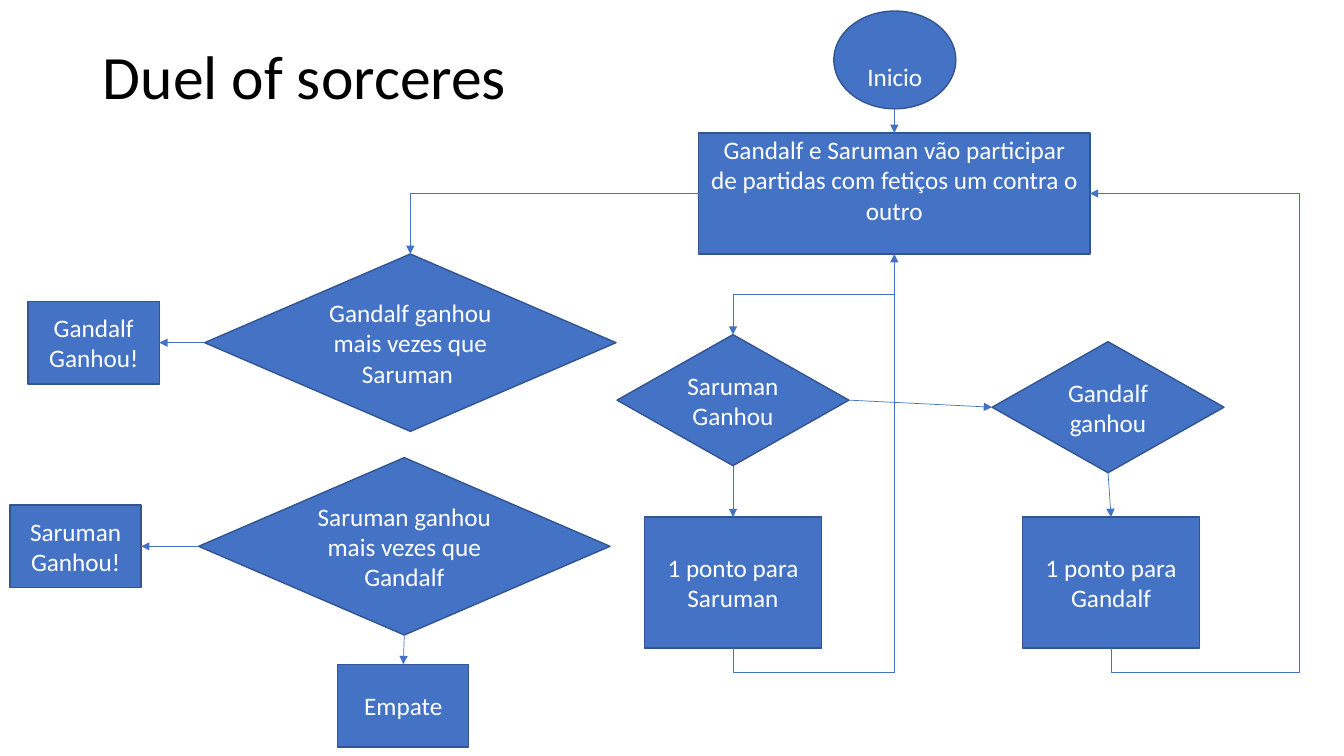
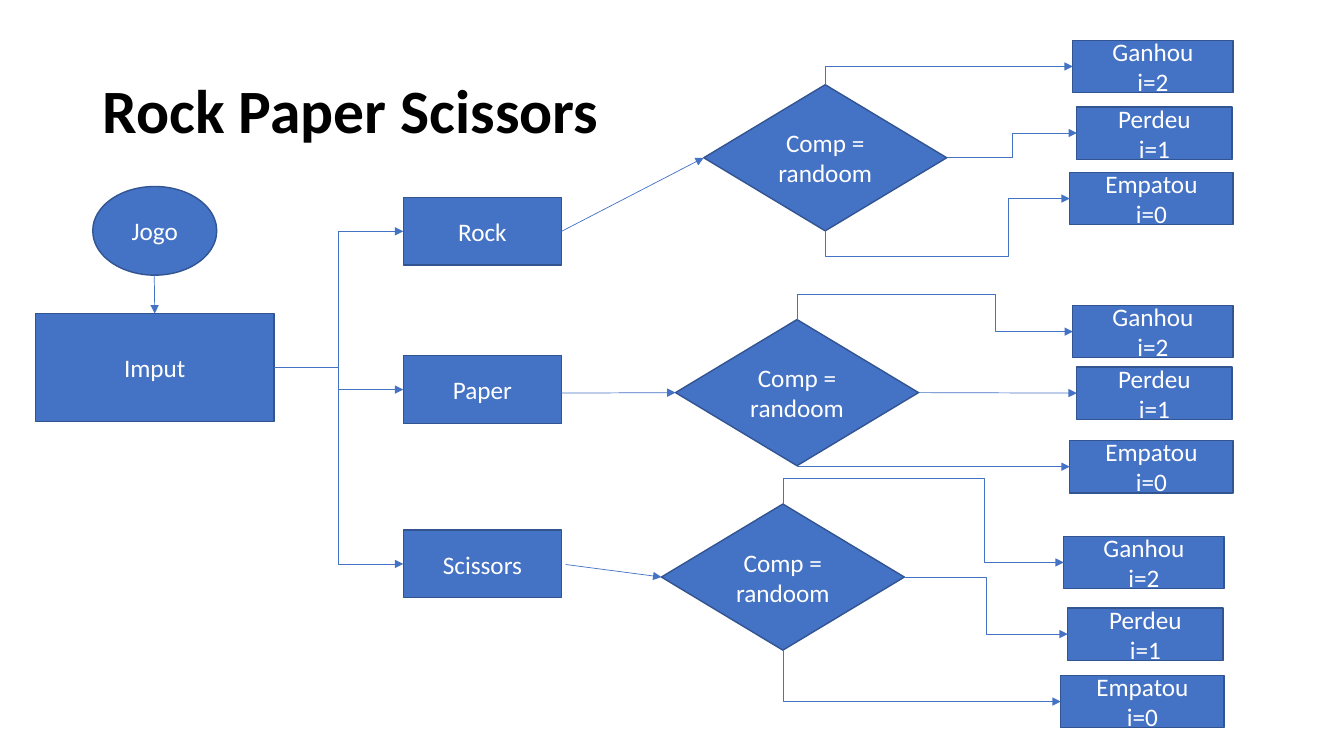
import pptx
import pptx.util
import pptx.dml.color
import pptx.enum.shapes
import pptx.enum.text
import pptx.oxml
import pptx.oxml.ns

# Look: the slide is a grid of 75 rows with square cells
HUES = {"fill": "4472C4", "edge": "325491", "text": "FFFFFF", "title": "000000"}
FONT = "Calibri"
WIDE, HIGH, ROWS = 13.33, 7.5, 75
TITLE = (9.2, 4, 115, 14.5)
FORM = pptx.enum.shapes.MSO_SHAPE
WIRE = pptx.enum.shapes.MSO_CONNECTOR
ALIGN = pptx.enum.text.PP_ALIGN

# Kinds of node: shape, columns, rows
KINDS = {
    "start": (FORM.OVAL, 12.1, 9.7),
    "match": (FORM.RECTANGLE, 38.8, 12),
    "round": (FORM.DIAMOND, 23, 13),
    "point": (FORM.RECTANGLE, 17.6, 13),
    "score": (FORM.DIAMOND, 40.8, 17.6),
    "end": (FORM.RECTANGLE, 13, 8.2),
    "game": (FORM.OVAL, 12.3, 8.8),
    "input": (FORM.RECTANGLE, 23.7, 10.7),
    "pick": (FORM.RECTANGLE, 15.7, 6.7),
    "comp": (FORM.DIAMOND, 24.1, 14.5),
    "won": (FORM.RECTANGLE, 15.9, 5.2),
    "lost": (FORM.RECTANGLE, 15.4, 5.2),
    "drew": (FORM.RECTANGLE, 16.2, 5.2),
}
# Top and bottom text insets, in rows, where text sits off centre
INSETS = {"start": (3.2, 0), "match": (0, 2.7)}

# Duel: name -> kind, column, row, lines
DUEL = {
    "start": ("start", 82.7, 1.1, ["Inicio"]),
    "match": ("match", 69.3, 13.2, [
        "Gandalf e Saruman vão participar de partidas com fetiços um contra o outro"]),
    "g round": ("round", 98.4, 33.9, ["Gandalf ganhou"]),
    "g point": ("point", 101.4, 51.3, ["1 ponto para Gandalf"]),
    "s round": ("round", 61.2, 33.2, ["Saruman Ganhou"]),
    "s point": ("point", 63.9, 51.3, ["1 ponto para Saruman"]),
    "g score": ("score", 20.3, 25.2, ["Gandalf ganhou mais vezes que Saruman "]),
    "g end": ("end", 2.8, 29.9, ["Gandalf Ganhou!"]),
    "s score": ("score", 19.7, 45.4, ["Saruman ganhou mais vezes que Gandalf"]),
    "s end": ("end", 1, 50.1, ["Saruman Ganhou!"]),
    "tie": ("end", 33.5, 65.9, ["Empate"]),
}
# Links: from (name and side, or a point), to, bends (None is straight)
DUEL_LINKS = [
    ((88.7, 10.8), ("match", "top"), None),
    (("g round", "bottom"), ("g point", "top"), None),
    (("s round", "bottom"), ("s point", "top"), None),
    (("s round", "right"), ("g round", "left"), None),
    (("g score", "left"), ("g end", "right"), None),
    (("s score", "left"), ("s end", "right"), None),
    (("s score", "bottom"), ("tie", "top"), None),
    (("s point", "bottom"), ("match", "bottom"), (66.7,)),
    (("match", "bottom"), ("s round", "top"), (29.2,)),
    (("g point", "bottom"), ("match", "right"), (66.7, 128.9)),
    (("match", "left"), ("g score", "top"), ()),
]

# Rock paper scissors
GAME = {
    "game": ("game", 9.2, 18.5, ["Jogo"]),
    "input": ("input", 3.5, 31.1, ["Imput"]),
}
GAME_LINKS = [((15.3, 27.3), ("input", "top"), None)]
# Results: kind, lines, column shift, side of the diamond it leaves
RESULTS = [
    ("won", ["Ganhou", "i=2"], 0, "top"),
    ("lost", ["Perdeu", "i=1"], 0.4, "right"),
    ("drew", ["Empatou", "i=0"], -0.3, "bottom"),
]
# Picks: name, row, link start, diamond place, result column, result rows, bends
PICKS = [
    ("Rock", 19.6, ("Rock", "right"), (69.8, 8.4), 106.4,
     (4, 10.6, 17.1), ((), (100.4,), (25.4, 100))),
    ("Paper", 35.3, (55.4, 39), (67, 31.7), 106.4,
     (30.3, 36.4, 43.7), ((29.2, 98.7), None, ())),
    ("Scissors", 52.6, (56.1, 56), (65.6, 50), 105.5,
     (53.2, 60.3, 67), ((47.5, 97.6), (97.8,), ())),
]
for pick, row, start, place, col, rows, bends in PICKS:
    comp = pick + " comp"
    GAME[pick] = ("pick", 40, row, [pick])
    GAME[comp] = ("comp", *place, ["Comp = randoom"])
    GAME_LINKS += [(("input", "right"), (pick, "left"), (33.6,)),
                   (start, (comp, "left"), None)]
    for (kind, lines, shift, side), top, bend in zip(RESULTS, rows, bends):
        GAME[pick + kind] = (kind, col + shift, top, lines)
        GAME_LINKS.append(((comp, side), (pick + kind, "left"), bend))

# Slides: title, bold, rows kept free under the title, nodes, links
SLIDES = [
    ("Duel of sorceres", False, 7.2, DUEL, DUEL_LINKS),
    ("Rock Paper Scissors", True, 0.5, GAME, GAME_LINKS),
]

# Sides: connection site, share of width, share of height
SIDES = {"top": (0, 0.5, 0), "left": (1, 0, 0.5),
         "bottom": (2, 0.5, 1), "right": (3, 1, 0.5)}


def cell(num):
    return pptx.util.Inches(num * HIGH / ROWS)


def hue(name):
    return pptx.dml.color.RGBColor.from_string(HUES[name])


def write(par, text, size, name, bold=False):
    run = par.add_run()
    run.text = text
    run.font.name, run.font.size = FONT, pptx.util.Pt(size)
    run.font.bold = bold
    run.font.color.rgb = hue(name)


def set_box(shape, box):
    shape.left, shape.top, shape.width, shape.height = map(cell, box)


def set_title(slide, text, bold, free):
    head = slide.shapes.title
    set_box(head, TITLE)
    frame = head.text_frame
    frame.auto_size = pptx.enum.text.MSO_AUTO_SIZE.NONE
    frame.vertical_anchor = pptx.enum.text.MSO_ANCHOR.MIDDLE
    frame.margin_bottom = cell(free)
    par = frame.paragraphs[0]
    par.alignment, par.line_spacing = ALIGN.LEFT, 0.9
    write(par, text, 44, "title", bold)


def add_node(slide, kind, col, row, lines):
    form, wide, high = KINDS[kind]
    node = slide.shapes.add_shape(form, *map(cell, (col, row, wide, high)))
    node.shadow.inherit = False
    node.fill.solid()
    node.fill.fore_color.rgb = hue("fill")
    node.line.color.rgb = hue("edge")
    node.line.width = pptx.util.Pt(1)
    frame = node.text_frame
    frame.word_wrap = True
    frame.vertical_anchor = pptx.enum.text.MSO_ANCHOR.MIDDLE
    frame.margin_top, frame.margin_bottom = map(cell, INSETS.get(kind, (0.5, 0.5)))
    for i, line in enumerate(lines):
        par = frame.add_paragraph() if i else frame.paragraphs[0]
        par.alignment = ALIGN.CENTER
        write(par, line, 18, "text")
    return node


def find_spot(nodes, end):
    if end[0] not in nodes:
        return end
    kind, col, row, _ = nodes[end[0]]
    _, wide, high = KINDS[kind]
    _, right, down = SIDES[end[1]]
    return col + wide * right, row + high * down


def bend_link(link, a, b, axis, bends):
    """Turn and flip the elbow so that it leaves along the axis (0 across, 1 down)."""
    gap = (b[0] - a[0], b[1] - a[1])
    wide, high = abs(gap[axis]), abs(gap[1 - axis])
    back = axis == 1 and gap[0] > 0 and gap[1] > 0
    turn = (270 if back else 90) if axis else 0
    flip_h = (gap[axis] < 0) != back
    flip_v = ((gap[0] > 0) != back) if axis else gap[1] < 0
    set_box(link, ((a[0] + b[0] - wide) / 2, (a[1] + b[1] - high) / 2, wide, high))
    props = link._element.spPr
    frame = props.find(pptx.oxml.ns.qn("a:xfrm"))
    for key, val in (("rot", turn * 60000), ("flipH", int(flip_h)), ("flipV", int(flip_v))):
        frame.set(key, str(val))
    geom = props.find(pptx.oxml.ns.qn("a:prstGeom"))
    geom.set("prst", f"bentConnector{len(bends) + 2}")
    guides = geom.find(pptx.oxml.ns.qn("a:avLst"))
    if guides is None:
        guides = add_tag(geom, "avLst")
    for i, bend in enumerate(bends):
        way = axis if i == 0 else 1 - axis
        share = round((bend - a[way]) / gap[way] * 100000)
        add_tag(guides, "gd", name=f"adj{i + 1}", fmla=f"val {share}")


def add_tag(root, tag, **vals):
    item = pptx.oxml.parse_xml(f"<a:{tag} {pptx.oxml.ns.nsdecls('a')}/>")
    for key, val in vals.items():
        item.set(key, val)
    root.append(item)
    return item


def add_link(slide, nodes, shapes, start, stop, bends):
    a, b = find_spot(nodes, start), find_spot(nodes, stop)
    form = WIRE.STRAIGHT if bends is None else WIRE.ELBOW
    link = slide.shapes.add_connector(form, *map(cell, (*a, *b)))
    if start[0] in shapes:
        link.begin_connect(shapes[start[0]], SIDES[start[1]][0])
    link.end_connect(shapes[stop[0]], SIDES[stop[1]][0])
    if bends is not None:
        bend_link(link, a, b, int(start[1] in ("top", "bottom")), bends)
    link.line.color.rgb = hue("fill")
    link.line.width = pptx.util.Pt(0.5)
    add_tag(link.line._get_or_add_ln(), "tailEnd", type="triangle")
    add_tag(link._element.spPr, "effectLst")


# Build
deck = pptx.Presentation()
deck.slide_width = pptx.util.Inches(WIDE)
deck.slide_height = pptx.util.Inches(HIGH)
for text, bold, free, nodes, links in SLIDES:
    slide = deck.slides.add_slide(deck.slide_layouts[5])
    set_title(slide, text, bold, free)
    shapes = {name: add_node(slide, *node) for name, node in nodes.items()}
    for link in links:
        add_link(slide, nodes, shapes, *link)
deck.save("out.pptx")
